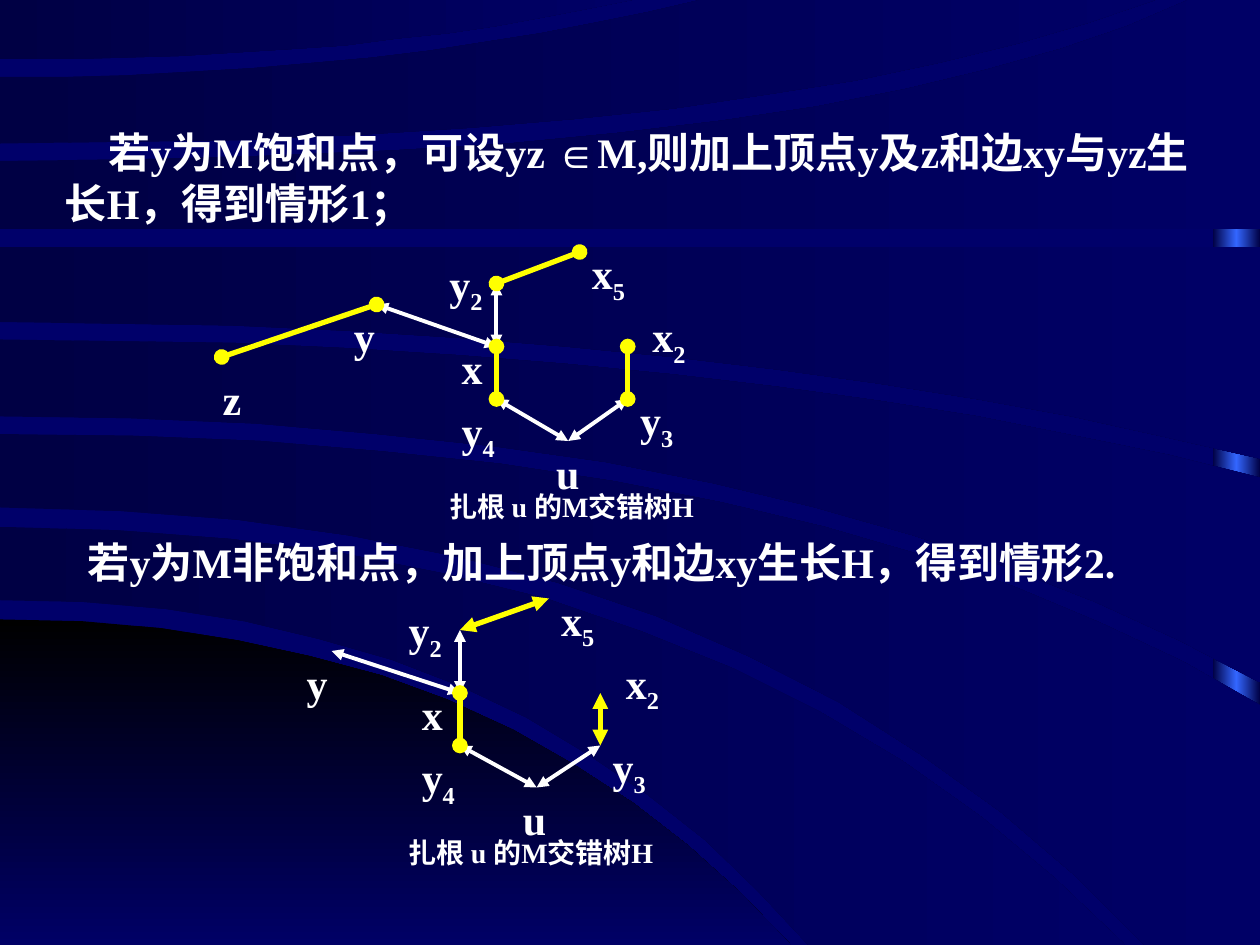
from copy import deepcopy

from pptx import Presentation
from pptx.dml.color import RGBColor
from pptx.enum.shapes import MSO_CONNECTOR, MSO_SHAPE
from pptx.oxml.ns import qn
from pptx.oxml.xmlchemy import OxmlElement
from pptx.util import Pt

STRAIGHT = MSO_CONNECTOR.STRAIGHT
RECTANGLE = MSO_SHAPE.RECTANGLE
FONT = "Times New Roman"
COLORS = {
    "page": "00006A",
    "band dark": "000044",
    "band light": "000066",
    "glow": "3366FF",
    "dome": "000000",
    "text": "FFFFFF",
    "free edge": "FFFFFF",
    "matched edge": "FFFF00",
}
WIDTH, HEIGHT = 720, 540


def add_text(shapes, text, left, top, width, height, size=24, indent=0, subscript=""):
    box = shapes.add_textbox(Pt(left), Pt(top), Pt(width), Pt(height))
    box.text_frame.word_wrap = True
    para = box.text_frame.paragraphs[0]
    para._p.get_or_add_pPr().set("indent", str(Pt(indent)))
    for part in filter(None, (text, subscript)):
        span = para.add_run()
        span.text = part
        span.font.name = FONT
        span.font.size = Pt(size)
        span.font.bold = True
        span.font.color.rgb = RGBColor.from_string(COLORS["text"])
    if subscript:
        span._r.get_or_add_rPr().set("baseline", "-25000")


def curve(start_y, bend_x, end_x, end_y, steps=12):
    """Points of a quadratic curve that leaves the left side of the page level."""
    points = []
    for step in range(steps + 1):
        t = step / steps
        x = 2 * t * (1 - t) * bend_x + t * t * end_x
        points.append((x, start_y + t * t * (end_y - start_y)))
    return points


deck = Presentation()
deck.slide_width, deck.slide_height = Pt(WIDTH), Pt(HEIGHT)
page = deck.slides.add_slide(deck.slide_layouts[6])
page.background.fill.solid()
page.background.fill.fore_color.rgb = RGBColor.from_string(COLORS["page"])

# Backdrop: a glowing strip on the right, then a dome and bands between two curves
strip = page.shapes.add_shape(RECTANGLE, Pt(693), 0, Pt(27), Pt(HEIGHT))
backdrop = [(strip, "band dark", "band dark", 0)]
areas = [
    ((354, 286, 452, HEIGHT), (HEIGHT, 226, 452, HEIGHT)),
    ((301, 412, 643, HEIGHT), (343, 295, 462, HEIGHT)),
    ((248, 464, WIDTH, 403), (290, 423, 654, HEIGHT)),
    ((194, 410, WIDTH, 273), (238, 454, WIDTH, 390)),
    ((141, 360, WIDTH, 141), (184, 408, WIDTH, 262)),
    ((92, 484, 679, 0), (131, 360, WIDTH, 131)),
    ((44, 224, 400, 0), (82, 440, 660, 0)),
    ((0, 180, 361, 0), (34, 214, 361, 0)),
]
for number, (upper, lower) in enumerate(areas):
    top_edge, bottom_edge = curve(*upper), curve(*lower)
    ends = sorted((top_edge[-1], bottom_edge[-1]))
    corner = (ends[1][0], ends[0][1])
    outline = top_edge + [corner] + bottom_edge[::-1]
    builder = page.shapes.build_freeform(*outline[0], scale=Pt(1))
    builder.add_line_segments(outline[1:], close=True)
    is_dome = number == 0
    backdrop.append((builder.convert_to_shape(), "dome" if is_dome else "band dark",
                     "band light", 270 if is_dome else 0))

for shape, first, last, angle in backdrop:
    shape.shadow.inherit = False
    shape.line.fill.background()
    shape.fill.gradient()
    shape.fill.gradient_angle = angle
    for position, (stop, name) in enumerate(zip(shape.fill.gradient_stops, (first, last))):
        stop.color.rgb = RGBColor.from_string(COLORS[name])
        stop.position = position

stop_list = strip._element.spPr.find(qn("a:gradFill")).find(qn("a:gsLst"))
stop_list.insert(1, deepcopy(stop_list[0]))
middle = strip.fill.gradient_stops[1]
middle.position = 0.5
middle.color.rgb = RGBColor.from_string(COLORS["glow"])

# The two cases
cases = [
    ("若y为M饱和点，可设yz ∈M,则加上顶点y及z和边xy与yz生长H，得到情形1；", 30, 69),
    ("若y为M非饱和点，加上顶点y和边xy生长H，得到情形2.", 18, 303),
]
for text, left, top in cases:
    add_text(page.shapes, text, left, top, 660, 70, indent=25)

# Alternating trees, x measured from node x; the second is lower and slightly wider.
# Each node: its point, then the left and top of its label
nodes = {
    "x": (0, 198, -27, 192),
    "y2": (0, 162, -34, 144),
    "y4": (0, 228, -27, 228),
    "u": (41, 252, 27, 252),
    "y3": (75, 228, 75, 222),
    "x2": (75, 198, 82, 174),
    "x5": (47.5, 144, 47.5, 138),
    "y": (-68.5, 174, -88.5, 174),
    "z": (-157, 204, -163.5, 210),
}
free_edges = [("u", "y4"), ("x", "y2"), ("u", "y3"), ("x", "y")]
matched_edges = [("y4", "x"), ("y3", "x2"), ("y2", "x5"), ("y", "z")]
edges = [(*pair, "free edge") for pair in free_edges]
edges += [(*pair, "matched edge") for pair in matched_edges]
trees = [
    {"left": 283.7, "drop": 0, "stretch": 1, "hidden": "", "arrowed": ()},
    {"left": 262.8, "drop": 198, "stretch": 1.07, "hidden": "z", "arrowed": ("x2", "x5")},
]
for tree in trees:
    shapes = page.shapes.add_group_shape().shapes
    left, drop, stretch = tree["left"], tree["drop"], tree["stretch"]

    for start, end, kind in edges:
        if end == tree["hidden"]:
            continue
        ends = []
        for x, y, *_ in (nodes[start], nodes[end]):
            ends += [Pt(left + stretch * x), Pt(y + drop)]
        edge = shapes.add_connector(STRAIGHT, *ends)
        matched = kind == "matched edge"
        edge.line.color.rgb = RGBColor.from_string(COLORS[kind])
        edge.line.width = Pt(3 if matched else 2.25)
        tip = "oval" if matched and end not in tree["arrowed"] else "triangle"
        for tag in ("a:headEnd", "a:tailEnd"):
            mark = OxmlElement(tag)
            mark.set("type", tip)
            edge.line._get_or_add_ln().append(mark)
        edge._element.spPr.append(OxmlElement("a:effectLst"))

    for name, (*_, x, y) in nodes.items():
        if name != tree["hidden"]:
            add_text(shapes, name[0], left + stretch * x, y + drop, 36 * stretch, 36,
                     subscript=name[1:])
    add_text(shapes, "扎根 u 的M交错树H", left - 34 * stretch, 276 + drop,
             184 * stretch, 30, size=16)

deck.save("out.pptx")
